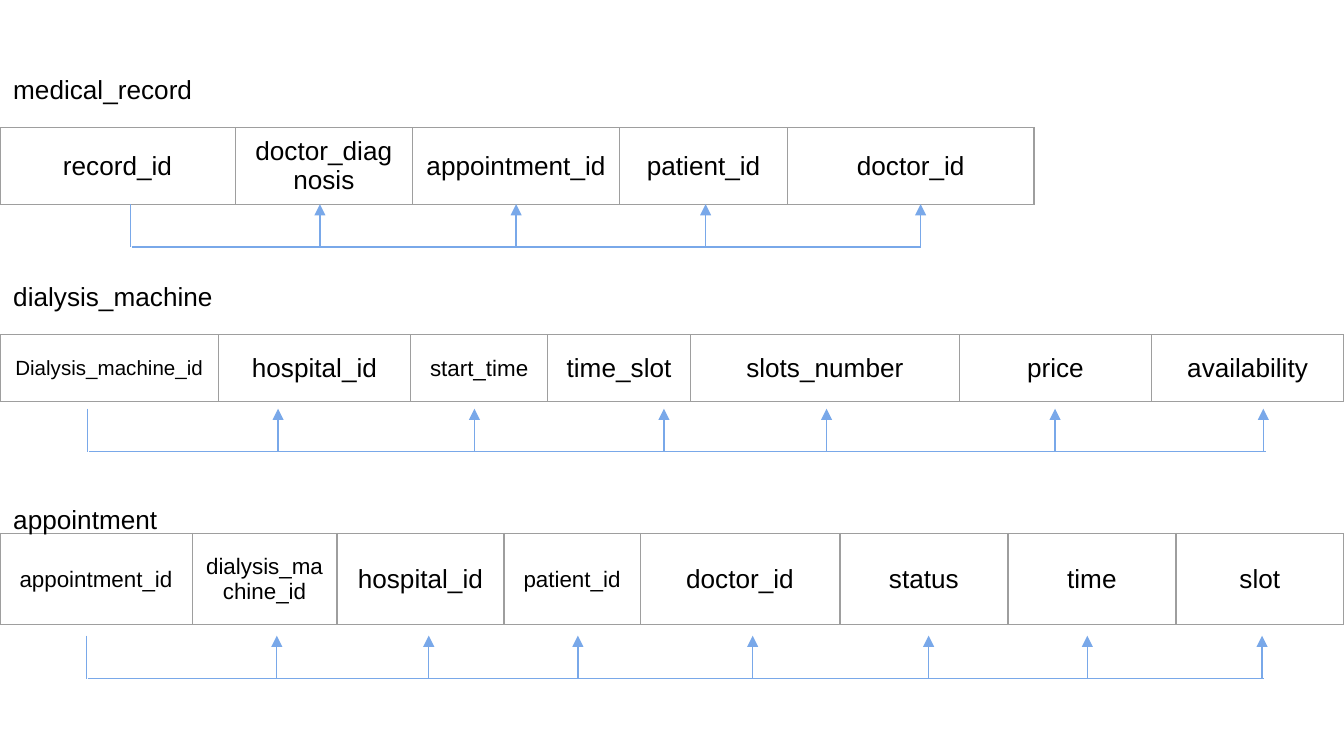
from dataclasses import dataclass

from lxml.etree import SubElement as Sub
from pptx import Presentation
from pptx.dml.color import RGBColor as Rgb
from pptx.enum.shapes import MSO_CONNECTOR as Link
from pptx.enum.text import MSO_ANCHOR as Anchor, MSO_AUTO_SIZE as Fit, PP_ALIGN as Align
from pptx.oxml.ns import qn
from pptx.util import Pt


@dataclass(frozen=True)
class Theme:
    font: str = "Arial"
    ink: str = "000000"
    edge: str = "9E9E9E"
    key: str = "79A8E9"
    line: float = 0.75
    big: float = 14
    mid: float = 12
    small: float = 11


THEME = Theme()


def write(frame, text, size=THEME.big, color=THEME.ink, align=Align.LEFT):
    para = frame.paragraphs[0]
    para.alignment = align
    run = para.add_run()
    run.text = text
    run.font.name = THEME.font
    run.font.size = Pt(size)
    run.font.color.rgb = Rgb.from_string(color)


def border(cell):
    props = cell._tc.get_or_add_tcPr()
    for side in ("lnL", "lnR", "lnT", "lnB"):
        line = Sub(props, qn(f"a:{side}"), w=str(Pt(THEME.line)))
        fill = Sub(line, qn("a:solidFill"))
        Sub(fill, qn("a:srgbClr"), val=THEME.edge)


def draw(slide, start, end, arrow=False):
    link = slide.shapes.add_connector(Link.STRAIGHT, *map(Pt, start + end))
    link.line.color.rgb = Rgb.from_string(THEME.key)
    link.line.width = Pt(THEME.line)
    Sub(link._element.spPr, qn("a:effectLst"))
    if arrow:
        Sub(link.line._get_or_add_ln(), qn("a:tailEnd"), type="triangle")


def add_name(slide, box, text):
    label = slide.shapes.add_textbox(*map(Pt, box))
    frame = label.text_frame
    frame.word_wrap = False
    frame.auto_size = Fit.SHAPE_TO_FIT_TEXT
    write(frame, text)


def add_grid(slide, box, cols):
    grid = slide.shapes.add_table(1, len(cols), *map(Pt, box)).table
    grid.first_row = grid.horz_banding = False
    for spot, (text, width, size) in enumerate(cols):
        grid.columns[spot].width = Pt(width)
        cell = grid.cell(0, spot)
        cell.vertical_anchor = Anchor.MIDDLE
        border(cell)
        cell.fill.background()
        write(cell.text_frame, text, size=size, align=Align.CENTER)


def add_keys(slide, box, ticks):
    left, top, width, height = box
    base = top + height
    draw(slide, (left, top), (left, base))
    draw(slide, (left + 0.7, base), (left + width, base))
    for tick in ticks:
        draw(slide, (left + tick, base), (left + tick, top), arrow=True)


def add_schema(slide, box, name, wide, rise, cols, keys, span, ticks):
    left, top, width, height = box
    add_grid(slide, box, cols)
    add_name(slide, (left, top - rise, wide, 24.5), name)
    start, drop = keys
    add_keys(slide, (left + start, top + height + drop, span, 23), ticks)


def main():
    big, mid, small = THEME.big, THEME.mid, THEME.small
    deck = Presentation()
    deck.slide_width, deck.slide_height = Pt(720), Pt(405)
    slide = deck.slides.add_slide(deck.slide_layouts[6])

    add_schema(
        slide, (0, 179.3, 720, 36), "dialysis_machine", 121.7, 32.4,
        [("Dialysis_machine_id", 117, small), ("hospital_id", 103, big),
         ("start_time", 73.5, mid), ("time_slot", 76.5, big),
         ("slots_number", 144, big), ("price", 103, big),
         ("availability", 103, big)],
        (47, 3.7), 631.2, [102, 207.2, 308.7, 395.8, 518.2, 629.8])
    add_schema(
        slide, (0, 285.8, 720, 49), "appointment", 92.2, 19.4,
        [("appointment_id", 103, mid), ("dialysis_machine_id", 77.5, mid),
         ("hospital_id", 89.5, big), ("patient_id", 73, mid),
         ("doctor_id", 107, big), ("status", 90, big),
         ("time", 90, big), ("slot", 90, big)],
        (46.2, 5.8), 631.2, [102.1, 183.5, 263.4, 357, 451.3, 536.3, 629.9])
    add_schema(
        slide, (0, 68.4, 554, 41), "medical_record", 110.9, 32.4,
        [("record_id", 126, big), ("doctor_diagnosis", 95, big),
         ("appointment_id", 111, big), ("patient_id", 90, big),
         ("doctor_id", 132, big)],
        (69.8, 0), 423.4, [101.6, 206.7, 308.2, 423.4])

    deck.save("out.pptx")


if __name__ == "__main__":
    main()
